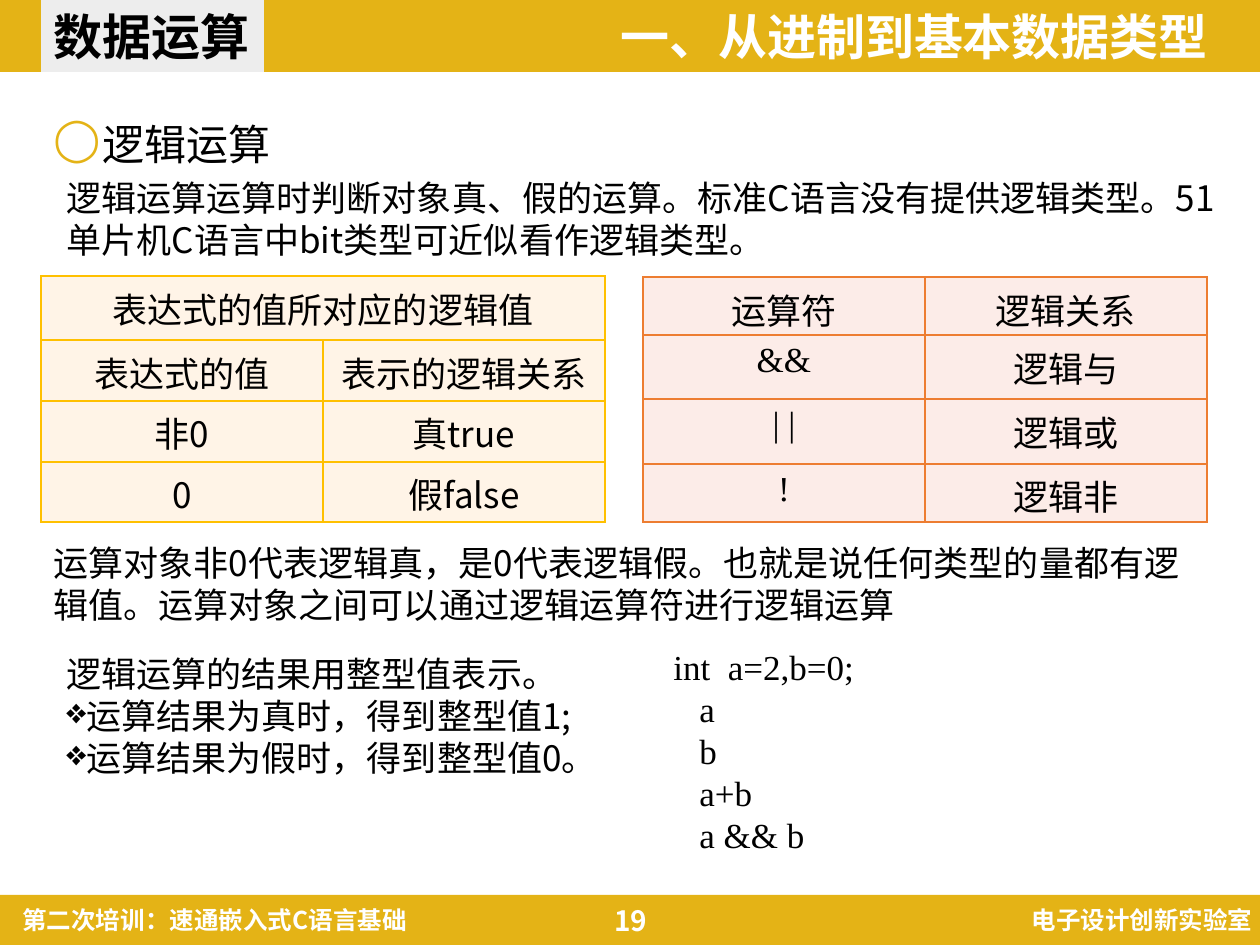
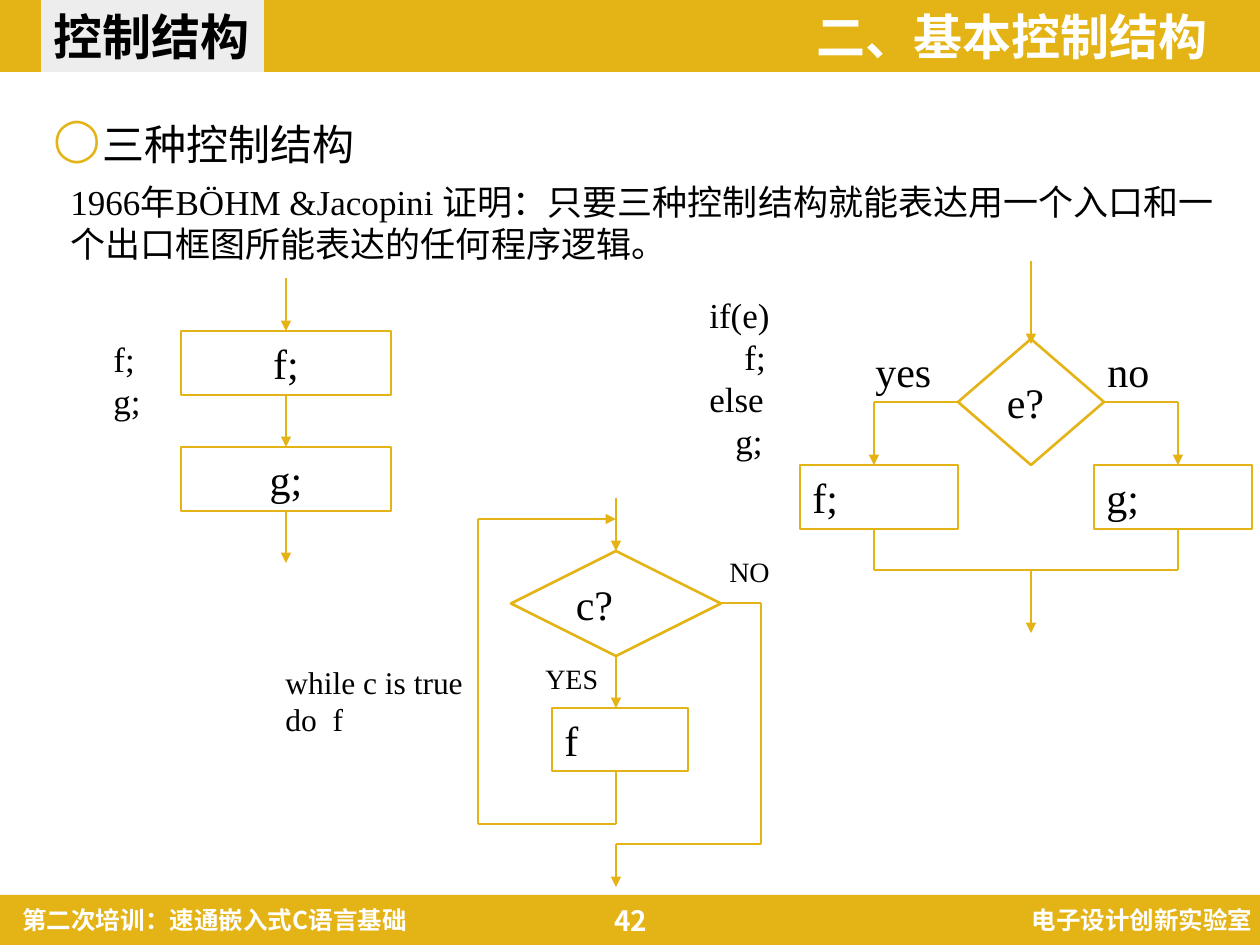
from itertools import pairwise, zip_longest

from lxml import etree
from pptx import Presentation
from pptx.dml.color import RGBColor
from pptx.enum import shapes, text
from pptx.oxml import ns
from pptx.util import Emu, Pt

EMU_PER_PX = 914400 / 126
SLIDE_W, SLIDE_H = 1260, 945
BAND_H = 72
FOOTER_TOP, FOOTER_H = 895, 50

GOLD = RGBColor(0xE4, 0xB3, 0x16)
WHITE = RGBColor(0xFF, 0xFF, 0xFF)
BLACK = RGBColor(0, 0, 0)
TAG_GRAY = RGBColor(0xED, 0xED, 0xED)
CREAM = RGBColor(0xFF, 0xF4, 0xE7)
AMBER = RGBColor(0xFF, 0xC0, 0x00)
BLUSH = RGBColor(0xFC, 0xEC, 0xE8)
ORANGE = RGBColor(0xED, 0x7D, 0x31)

SANS = "Noto Sans CJK SC"
SERIF = "Times New Roman"
LEFT, CENTER, RIGHT = text.PP_ALIGN.LEFT, text.PP_ALIGN.CENTER, text.PP_ALIGN.RIGHT
TOP, MIDDLE = text.MSO_ANCHOR.TOP, text.MSO_ANCHOR.MIDDLE
RECT = shapes.MSO_SHAPE.RECTANGLE
DECISION = shapes.MSO_SHAPE.FLOWCHART_DECISION


def px(length):
    return Emu(round(length * EMU_PER_PX))


def add_xml(parent, tag, **attributes):
    return etree.SubElement(parent, ns.qn(tag), attributes)


def write(frame, *lines, size=20, font=SANS, color=BLACK, bold=False, align=LEFT,
          leading=None, indents=(), bullets=(), hanging=0, bullet_color=None):
    rows = zip_longest(lines, indents[:len(lines)], bullets[:len(lines)])
    for number, (line, indent, bullet) in enumerate(rows):
        paragraph = frame.add_paragraph() if number else frame.paragraphs[0]
        paragraph.alignment = align
        if leading:
            paragraph.line_spacing = Pt(leading)
        properties = paragraph._p.get_or_add_pPr()
        properties.set("marL", str(px((indent or 0) + hanging)))
        properties.set("indent", str(px(-hanging)))
        if bullet:
            if bullet_color is not None:
                add_xml(add_xml(properties, "a:buClr"), "a:srgbClr", val=str(bullet_color))
            add_xml(properties, "a:buChar", char=bullet)
        run = paragraph.add_run()
        run.text = line
        run.font.size = Pt(size)
        run.font.bold = bold
        run.font.color.rgb = color
        run.font.name = font
        add_xml(run._r.get_or_add_rPr(), "a:ea", typeface=SANS)


def fit(frame, anchor):
    frame.word_wrap = True
    frame.vertical_anchor = anchor
    if anchor == MIDDLE:
        frame.margin_top = frame.margin_bottom = 0


def label(slide, box, *lines, anchor=TOP, **style):
    frame = slide.shapes.add_textbox(*map(px, box)).text_frame
    fit(frame, anchor)
    write(frame, *lines, **style)


def block(slide, box, *lines, kind=RECT, fill=None, outline=None, **style):
    shape = slide.shapes.add_shape(kind, *map(px, box))
    shape.shadow.inherit = False
    if fill is None:
        shape.fill.background()
    else:
        shape.fill.solid()
        shape.fill.fore_color.rgb = fill
    if outline is None:
        shape.line.fill.background()
    else:
        shape.line.color.rgb = outline
        shape.line.width = Pt(1.5)
    if lines:
        fit(shape.text_frame, MIDDLE)
        write(shape.text_frame, *lines, **style)


def step(slide, box, caption, kind=RECT, align=LEFT):
    block(slide, box, caption, kind=kind, outline=GOLD, size=24, font=SERIF, align=align)


def flow(slide, origin, *points, arrow=True):
    left, top = origin
    corners = [(px(left + x), px(top + y)) for x, y in points]
    for start, end in pairwise(corners):
        line = slide.shapes.add_connector(shapes.MSO_CONNECTOR.STRAIGHT, *start, *end)
        line.line.color.rgb = GOLD
        line.line.width = Pt(1.5)
        add_xml(line._element.spPr, "a:effectLst")
        if arrow and end == corners[-1]:
            add_xml(line.line._get_or_add_ln(), "a:tailEnd", type="triangle")


def page(deck, chapter, topic, heading, number):
    slide = deck.slides.add_slide(deck.slide_layouts[6])
    block(slide, (0, 0, SLIDE_W, BAND_H), fill=GOLD)
    block(slide, (0, FOOTER_TOP, SLIDE_W, FOOTER_H), fill=GOLD)
    footers = (
        (10, 503, "第二次培训：速通嵌入式C语言基础", 14, LEFT),
        (553, 155, number, 16, CENTER),
        (869, 396, "电子设计创新实验室", 14, RIGHT),
    )
    for left, width, words, size, align in footers:
        label(slide, (left, FOOTER_TOP, width, FOOTER_H), words, anchor=MIDDLE,
              size=size, color=WHITE, bold=True, align=align)
    label(slide, (553, 0, 667, BAND_H), chapter, anchor=MIDDLE,
          size=28, color=WHITE, bold=True, align=RIGHT)
    block(slide, (41, 0, 223, BAND_H), topic, fill=TAG_GRAY, size=28, bold=True)
    label(slide, (41, 107, 1178, 70), heading, size=24, font=SERIF, leading=32,
          bullets="◯", hanging=49, bullet_color=GOLD)
    return slide


def border(cell, color):
    properties = cell._tc.get_or_add_tcPr()
    for place, side in enumerate(("a:lnL", "a:lnR", "a:lnT", "a:lnB")):
        edge = add_xml(properties, side, w=str(Pt(1)))
        add_xml(add_xml(edge, "a:solidFill"), "a:srgbClr", val=str(color))
        properties.insert(place, edge)


def grid(slide, left, top, heights, rows, fill, edge, font):
    column = 282
    box = (left, top, 2 * column, sum(heights))
    table = slide.shapes.add_table(len(rows), 2, *map(px, box)).table
    table.first_row = table.horz_banding = False
    for row, height, words in zip(table.rows, heights, rows):
        row.height = px(height)
        if len(words) == 1:
            row.cells[0].merge(row.cells[1])
        for cell, word in zip_longest(row.cells, words):
            cell.fill.solid()
            cell.fill.fore_color.rgb = fill
            cell.margin_bottom = 0
            border(cell, edge)
            if word:
                write(cell.text_frame, word, font=font, align=CENTER)


def logic_slide(deck):
    slide = page(deck, "一、从进制到基本数据类型", "数据运算", "逻辑运算", "19")
    label(slide, (54, 170, 1178, 98),
          "逻辑运算运算时判断对象真、假的运算。标准C语言没有提供逻辑类型。"
          "51单片机C语言中bit类型可近似看作逻辑类型。", leading=24)
    truth_values = [("表达式的值所对应的逻辑值",), ("表达式的值", "表示的逻辑关系"),
                    ("非0", "真true"), ("0", "假false")]
    grid(slide, 41, 276, (64, 61, 61, 60), truth_values, CREAM, AMBER, SANS)
    operators = [("运算符", "逻辑关系"), ("&&", "逻辑与"),
                 ("| |", "逻辑或"), ("!", "逻辑非")]
    grid(slide, 643, 277, (58, 64, 65, 58), operators, BLUSH, ORANGE, SERIF)
    label(slide, (41, 535, 1178, 97),
          "运算对象非0代表逻辑真，是0代表逻辑假。也就是说任何类型的量都有逻辑值。"
          "运算对象之间可以通过逻辑运算符进行逻辑运算", leading=24)
    label(slide, (54, 646, 570, 182), "逻辑运算的结果用整型值表示。",
          "运算结果为真时，得到整型值1;", "运算结果为假时，得到整型值0。",
          leading=24, bullets=("", "❖", "❖"))
    label(slide, (661, 639, 260, 224), "int  a=2,b=0;", "a", "b", "a+b", "a && b",
          font=SERIF, leading=24, indents=(0, 26, 26, 26, 26))


def sequence_chart(slide, left, top):
    width, pitch, arrow_length = 210, 116, 53
    for number, caption in enumerate(("f;", "g;", None)):
        y = number * pitch
        flow(slide, (left, top), (width / 2, y), (width / 2, y + arrow_length))
        if caption:
            step(slide, (left, top + y + arrow_length, width, 64), caption, align=CENTER)


def branch_chart(slide, left, top):
    origin = (left, top)
    middle, arm_y, box_y, box_w, box_h, join_y = 231, 141, 204, 158, 64, 309
    flow(slide, origin, (middle, 0), (middle, 83))
    step(slide, (left + middle - 73, top + 78, 146, 126), "e?", kind=DECISION)
    arms = (("yes", 63, -73, 74, 0, "f;"), ("no", 295, 73, 378, 294, "g;"))
    for answer, answer_x, tip, arm_x, box_x, caption in arms:
        label(slide, (left + answer_x, top + 78, 90, 63), answer, size=24, font=SERIF)
        flow(slide, origin, (middle + tip, arm_y), (arm_x, arm_y), (arm_x, box_y))
        step(slide, (left + box_x, top + box_y, box_w, box_h), caption)
        flow(slide, origin, (arm_x, box_y + box_h), (arm_x, join_y), (middle, join_y),
             arrow=False)
    flow(slide, origin, (middle, join_y), (middle, 372))


def loop_chart(slide, left, top):
    origin = (left, top)
    middle = 138
    flow(slide, origin, (middle, 0), (middle, 53))
    step(slide, (left + middle - 105, top + 53, 210, 105), "c?", kind=DECISION)
    flow(slide, origin, (middle, 158), (middle, 210))
    step(slide, (left + 74, top + 210, 136, 63), "f")
    flow(slide, origin, (middle, 273), (middle, 326), (0, 326), (0, 21), (middle, 21))
    flow(slide, origin, (middle + 105, 105), (283, 105), (283, 346), (middle, 346),
         (middle, 389))
    for answer, x, y in (("YES", 55, 157), ("NO", 239, 50)):
        label(slide, (left + x, top + y, 98, 47), answer, size=16, font=SERIF)


def control_slide(deck):
    slide = page(deck, "二、基本控制结构", "控制结构", "三种控制结构", "42")
    label(slide, (58, 174, 1202, 97),
          "1966年BÖHM &Jacopini 证明：只要三种控制结构就能表达用一个入口和"
          "一个出口框图所能表达的任何程序逻辑。", font=SERIF, leading=24)
    label(slide, (101, 331, 70, 97), "f;", "g;", font=SERIF, leading=24)
    sequence_chart(slide, 181, 278)
    label(slide, (697, 287, 100, 183), "if(e)", "f;", "else", "g;",
          font=SERIF, leading=24, indents=(0, 35, 0, 26))
    branch_chart(slide, 800, 261)
    label(slide, (273, 658, 210, 89), "while c is true", "do  f",
          size=18, font=SERIF, leading=21)
    loop_chart(slide, 478, 498)


def main():
    deck = Presentation()
    deck.slide_width, deck.slide_height = px(SLIDE_W), px(SLIDE_H)
    logic_slide(deck)
    control_slide(deck)
    deck.save("out.pptx")


if __name__ == "__main__":
    main()
